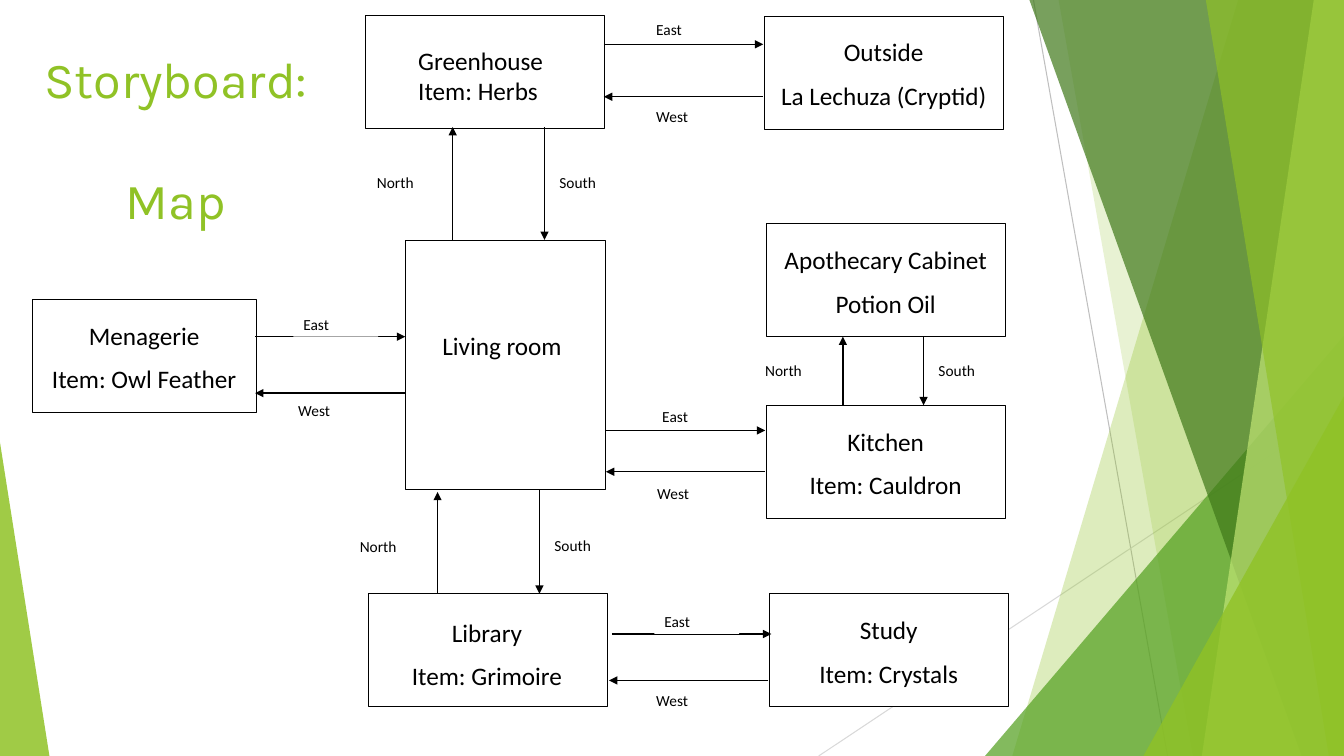
from lxml import etree
from pptx import Presentation
from pptx.dml.color import RGBColor
from pptx.enum import shapes, text
from pptx.oxml import ns
from pptx.util import Inches, Pt

COLORS = {"black": "000000", "white": "FFFFFF", "lime": "90C226",
          "green": "54A021", "forest": "3F7819", "pale": "C0E474",
          "gray": "BFBFBF", "silver": "D9D9D9"}
CENTER, LEFT = text.PP_ALIGN.CENTER, text.PP_ALIGN.LEFT
TOP, MIDDLE = text.MSO_ANCHOR.TOP, text.MSO_ANCHOR.MIDDLE

prs = Presentation()
prs.slide_width, prs.slide_height = Inches(13.33), Inches(7.5)
s = prs.slides.add_slide(prs.slide_layouts[6])


def write(sp, lines, size=18, align=CENTER, anchor=MIDDLE, spacing=1.07,
          after=8, font="Calibri", color="black"):
    tf = sp.text_frame
    tf.word_wrap = True
    tf.vertical_anchor = anchor
    tf.text = "\n".join(lines)
    for p in tf.paragraphs:
        p.alignment, p.line_spacing, p.space_after = align, spacing, Pt(after)
        for r in p.runs:
            r.font.size, r.font.name = Pt(size), font
            r.font.color.rgb = RGBColor.from_string(COLORS[color])


def draw_line(x1, y1, x2, y2, color, width, arrow=False):
    c = s.shapes.add_connector(shapes.MSO_CONNECTOR.STRAIGHT, Inches(x1),
                               Inches(y1), Inches(x2), Inches(y2))
    c.line.color.rgb = RGBColor.from_string(COLORS[color])
    c.line.width = Pt(width)
    if arrow:
        etree.SubElement(c.line._get_or_add_ln(), ns.qn("a:tailEnd"), type="triangle")
    etree.SubElement(c._element.spPr, ns.qn("a:effectLst"))


# Background lines
draw_line(10.25, 0, 11.58, 7.5, "gray", 0.75)
draw_line(13.33, 4.03, 8.12, 7.5, "silver", 0.75)

# Translucent facets: corner points, colour, opacity in percent
facets = [
    ([(12.28, 0), (13.33, 0), (13.33, 7.5), (10.04, 7.5)], "lime", 30),
    ([(10.5, 0), (13.33, 0), (13.33, 7.5), (11.83, 7.5)], "lime", 20),
    ([(13.33, 3.33), (13.33, 7.5), (9.77, 7.5)], "green", 72),
    ([(10.21, 0), (13.33, 0), (13.33, 7.5), (12.91, 7.5)], "forest", 70),
    ([(13.03, 0), (13.33, 0), (13.33, 7.5), (11.92, 7.5)], "pale", 70),
    ([(11.96, 0), (13.33, 0), (13.33, 7.5), (13.18, 7.5)], "lime", 65),
    ([(13.33, 3.93), (13.33, 7.5), (11.34, 7.5)], "lime", 80),
    ([(0, 4.39), (0.49, 7.5), (0, 7.5)], "lime", 85),
]
for points, color, opacity in facets:
    corners = [(Inches(x), Inches(y)) for x, y in points]
    fb = s.shapes.build_freeform(*corners[0])
    fb.add_line_segments(corners[1:], close=True)
    sp = fb.convert_to_shape()
    sp.shadow.inherit = False
    sp.line.fill.background()
    sp.fill.solid()
    sp.fill.fore_color.rgb = RGBColor.from_string(COLORS[color])
    srgb = sp._element.spPr.find(".//" + ns.qn("a:srgbClr"))
    etree.SubElement(srgb, ns.qn("a:alpha"), val=str(opacity * 1000))

# Title
title = s.shapes.add_textbox(Inches(0.32), Inches(0.43), Inches(2.85), Inches(1.18))
write(title, ["Storyboard:", "Map"], 36, anchor=TOP, spacing=1, after=43,
      font="Karla", color="lime")

# Rooms: left, top, width, height, lines
rooms = [
    (3.62, 0.15, 2.37, 1.12, []),
    (7.58, 0.16, 2.37, 1.12, ["Outside", "La Lechuza (Cryptid)"]),
    (7.6, 2.22, 2.37, 1.12, ["Apothecary Cabinet", "Potion Oil"]),
    (7.6, 4.02, 2.37, 1.12, ["Kitchen", "Item: Cauldron"]),
    (7.63, 5.89, 2.37, 1.12, ["Study", "Item: Crystals"]),
    (0.32, 2.97, 2.22, 1.12, ["Menagerie", "Item: Owl Feather"]),
    (3.65, 5.89, 2.37, 1.12, []),
    (4.02, 2.38, 1.98, 2.48, ["Living room"]),
]
for x, y, w, h, lines in rooms:
    sp = s.shapes.add_shape(shapes.MSO_SHAPE.RECTANGLE, Inches(x), Inches(y),
                            Inches(w), Inches(h))
    sp.shadow.inherit = False
    sp.fill.solid()
    sp.fill.fore_color.rgb = RGBColor.from_string(COLORS["white"])
    sp.line.color.rgb = RGBColor.from_string(COLORS["black"])
    sp.line.width = Pt(0.5)
    if lines:
        write(sp, lines)
    if lines == ["Living room"]:
        sp.text_frame.margin_bottom = Inches(0.45)
        sp.text_frame.margin_right = Inches(0.16)

# Passages: arrow start and end, line width, label, label left and top
passages = [
    (7.57, 0.96, 5.99, 0.96, 1, "West", 6.41, 1),
    (6.01, 4.27, 7.59, 4.27, 0.75, "East", 6.47, 3.98),
    (4.49, 2.38, 4.49, 1.26, 1, "North", 3.64, 1.66),
    (4.34, 5.89, 4.34, 4.88, 1, "North", 3.47, 5.27),
    (8.36, 4.02, 8.36, 3.34, 1, "North", 7.49, 3.52),
    (5.4, 1.26, 5.4, 2.38, 1, "South", 5.45, 1.66),
    (5.35, 4.86, 5.35, 5.89, 1, "South", 5.4, 5.26),
    (9.16, 3.34, 9.16, 4.02, 1, "South", 9.21, 3.52),
    (5.99, 0.44, 7.57, 0.44, 0.75, "East", 6.41, 0.14),
    (6.07, 6.29, 7.65, 6.29, 0.75, "East", 6.49, 6.01),
    (2.53, 3.34, 4.02, 3.34, 1, "East", 2.91, 3.06),
    (7.62, 6.75, 6.04, 6.75, 1, "West", 6.41, 6.79),
    (7.59, 4.68, 6.01, 4.68, 1, "West", 6.42, 4.74),
    (4.02, 3.9, 2.53, 3.9, 1, "West", 2.86, 3.92),
]
for x1, y1, x2, y2, width, label, x, y in passages:
    draw_line(x1, y1, x2, y2, "black", width, arrow=True)
    height = 0.38 if x1 == x2 else 0.28
    sp = s.shapes.add_shape(shapes.MSO_SHAPE.RECTANGLE, Inches(x), Inches(y),
                            Inches(0.84), Inches(height))
    sp.shadow.inherit = False
    sp.line.fill.background()
    sp.fill.solid()
    sp.fill.fore_color.rgb = RGBColor.from_string(COLORS["white"])
    write(sp, [label], 11, LEFT, TOP)

# Captions laid over the greenhouse and library boxes
greenhouse = s.shapes.add_textbox(Inches(4.05), Inches(0.4), Inches(1.57), Inches(0.71))
write(greenhouse, ["Greenhouse", "Item: Herbs"], align=LEFT, anchor=TOP, spacing=1, after=0)
library = s.shapes.add_textbox(Inches(3.72), Inches(6.05), Inches(2.22), Inches(0.85))
write(library, ["Library", "Item: Grimoire"], anchor=TOP)

prs.save("out.pptx")
